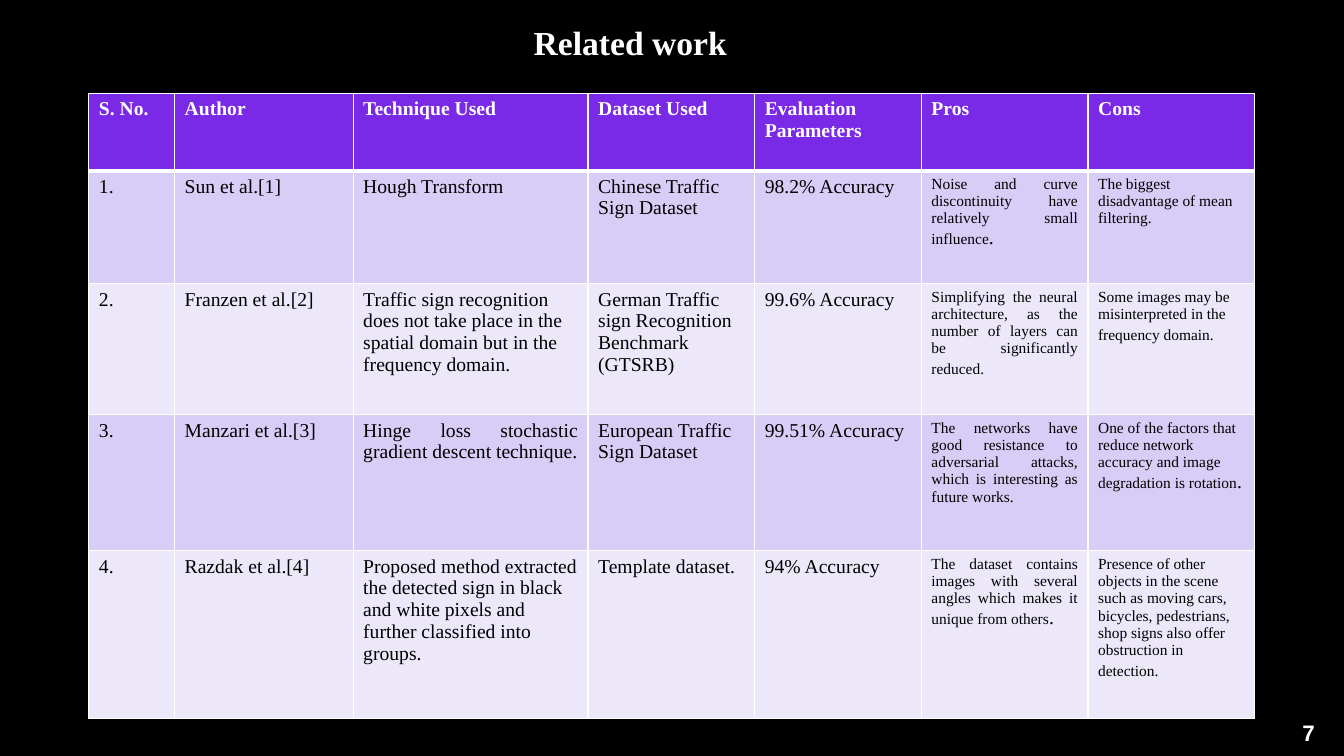
from lxml import etree
from pptx import Presentation
from pptx.dml.color import RGBColor
from pptx.enum.text import MSO_ANCHOR, PP_ALIGN
from pptx.oxml.ns import qn
from pptx.util import Cm, Pt

LEFT, CENTER, JUSTIFY = PP_ALIGN.LEFT, PP_ALIGN.CENTER, PP_ALIGN.JUSTIFY
TOP, MIDDLE = MSO_ANCHOR.TOP, MSO_ANCHOR.MIDDLE
SERIF, SANS = "Times New Roman", "Arial"
BLACK, WHITE = "000000", "FFFFFF"
HEADER_FILL, BAND_FILLS = "7A29E7", ("D7CDF6", "ECE8FA")
BODY_SIZE, NOTE_SIZE = 14, 11
PROS, CONS = 5, 6
JUSTIFIED_TECHNIQUE = (3, 2)
COLUMN_WIDTHS = (2.16, 4.5, 5.92, 4.2, 4.2, 4.2, 4.2)
ROW_HEIGHTS = (1.95, 2.85, 3.3, 3.43, 4.23)

# A tuple holds a small note and its larger ending.
ROWS = (
    ("S. No.", "Author", "Technique Used", "Dataset Used", "Evaluation Parameters", "Pros", "Cons"),
    ("1.", "Sun et al.[1]", "Hough Transform", "Chinese Traffic Sign Dataset", "98.2% Accuracy",
     ("Noise and curve discontinuity have relatively small influence", ". "),
     "The biggest disadvantage of mean filtering."),
    ("2.", "Franzen et al.[2]",
     "Traffic sign recognition does not take place in the spatial domain but in the frequency domain.",
     "German Traffic sign Recognition Benchmark (GTSRB)", "99.6% Accuracy",
     ("Simplifying the neural architecture, as the number of layers can be significantly reduced.", " "),
     ("Some images may be misinterpreted in the frequency domain.", " ")),
    ("3.", "Manzari et al.[3]", "Hinge loss stochastic gradient descent technique.",
     "European Traffic Sign Dataset", "99.51% Accuracy",
     "The networks have good resistance to adversarial attacks, which is interesting as future works.",
     ("One of the factors that reduce network accuracy and image degradation is rotation", ". ")),
    ("4.", "Razdak et al.[4]",
     "Proposed method extracted the detected sign in black and white pixels and further classified into groups.",
     "Template dataset.", "94% Accuracy",
     ("The dataset contains images with several angles which makes it unique from others", ". "),
     ("Presence of other objects in the scene such as moving cars, bicycles, pedestrians, "
      "shop signs also offer obstruction in detection.", " ")),
)


def color(value):
    """Turn a hex string into a colour."""
    return RGBColor.from_string(value)


def style_font(font, name, size, ink, bold):
    """Set the face, size, colour and weight of a font."""
    font.name, font.size, font.bold = name, Pt(size), bold
    font.color.rgb = color(ink)


def add_label(page, text, place, name, size, align=LEFT, anchor=TOP):
    """Add a bold white line of text at a place given in centimetres."""
    box = page.shapes.add_textbox(*map(Cm, place))
    frame = box.text_frame
    frame.word_wrap, frame.vertical_anchor = True, anchor
    para = frame.paragraphs[0]
    para.text, para.alignment = text, align
    style_font(para.font, name, size, WHITE, True)


def add_border(cell, side, width):
    """Draw one white edge of a cell."""
    line = etree.SubElement(cell._tc.get_or_add_tcPr(), qn(f"a:ln{side}"), w=str(Pt(width)))
    fill = etree.SubElement(line, qn("a:solidFill"))
    etree.SubElement(fill, qn("a:srgbClr"), val=WHITE)


def fill_cell(cell, content, row, column):
    """Write and format one cell according to its row and column."""
    header = row == 0
    for side in "LRTB":
        thick = (row, side) in ((0, "B"), (1, "T"))
        add_border(cell, side, 3 if thick else 1)
    cell.fill.solid()
    cell.fill.fore_color.rgb = color(HEADER_FILL if header else BAND_FILLS[(row - 1) % 2])

    para = cell.text_frame.paragraphs[0]
    justified = (column == PROS and not header) or (row, column) == JUSTIFIED_TECHNIQUE
    para.alignment = JUSTIFY if justified else LEFT
    size = NOTE_SIZE if column in (PROS, CONS) and not header else BODY_SIZE
    style_font(para.font, SERIF, size, WHITE if header else BLACK, header)
    if isinstance(content, str):
        para.add_run().text = content
        return
    for text, span_size in zip(content, (NOTE_SIZE, BODY_SIZE)):
        span = para.add_run()
        span.text, span.font.size = text, Pt(span_size)


def add_study_table(page):
    """Add the table of related studies."""
    place = (2.24, 2.35, sum(COLUMN_WIDTHS), sum(ROW_HEIGHTS))
    table = page.shapes.add_table(len(ROWS), len(COLUMN_WIDTHS), *map(Cm, place)).table
    table.horz_banding = False
    for column, width in zip(table.columns, COLUMN_WIDTHS):
        column.width = Cm(width)
    for row, height in zip(table.rows, ROW_HEIGHTS):
        row.height = Cm(height)
    for row, contents in enumerate(ROWS):
        for column, content in enumerate(contents):
            fill_cell(table.cell(row, column), content, row, column)


def main():
    """Build the slide and save it."""
    deck = Presentation()
    deck.slide_width, deck.slide_height = Cm(33.87), Cm(19.05)
    page = deck.slides.add_slide(deck.slide_layouts[6])
    page.background.fill.solid()
    page.background.fill.fore_color.rgb = color(BLACK)
    add_label(page, "Related work", (13.2, 0.43, 16.94, 1.27), SERIF, 24)
    add_study_table(page)
    add_label(page, "7", (32.1, 17.85, 1.75, 1.2), SANS, 16, CENTER, MIDDLE)
    deck.save("out.pptx")


if __name__ == "__main__":
    main()
